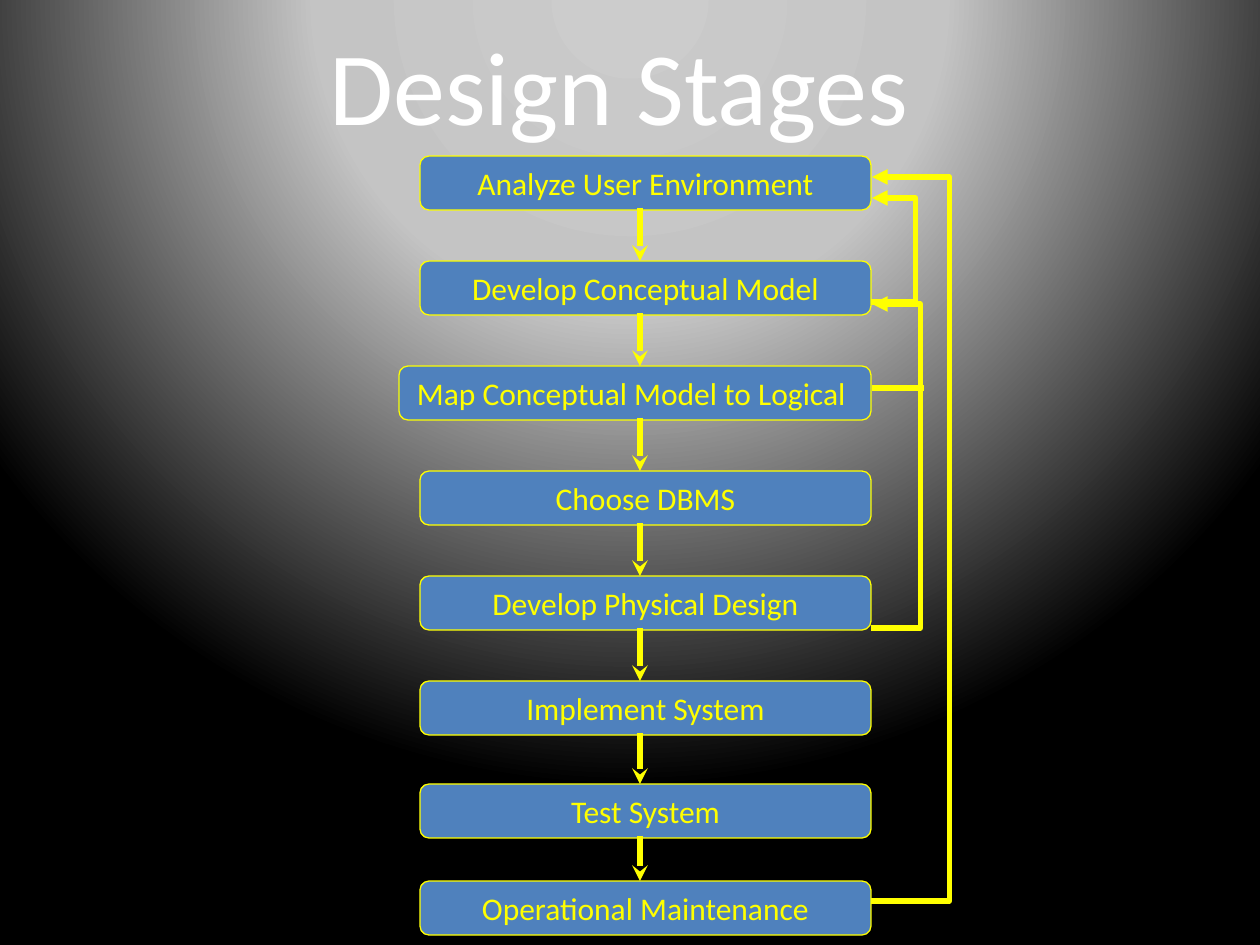
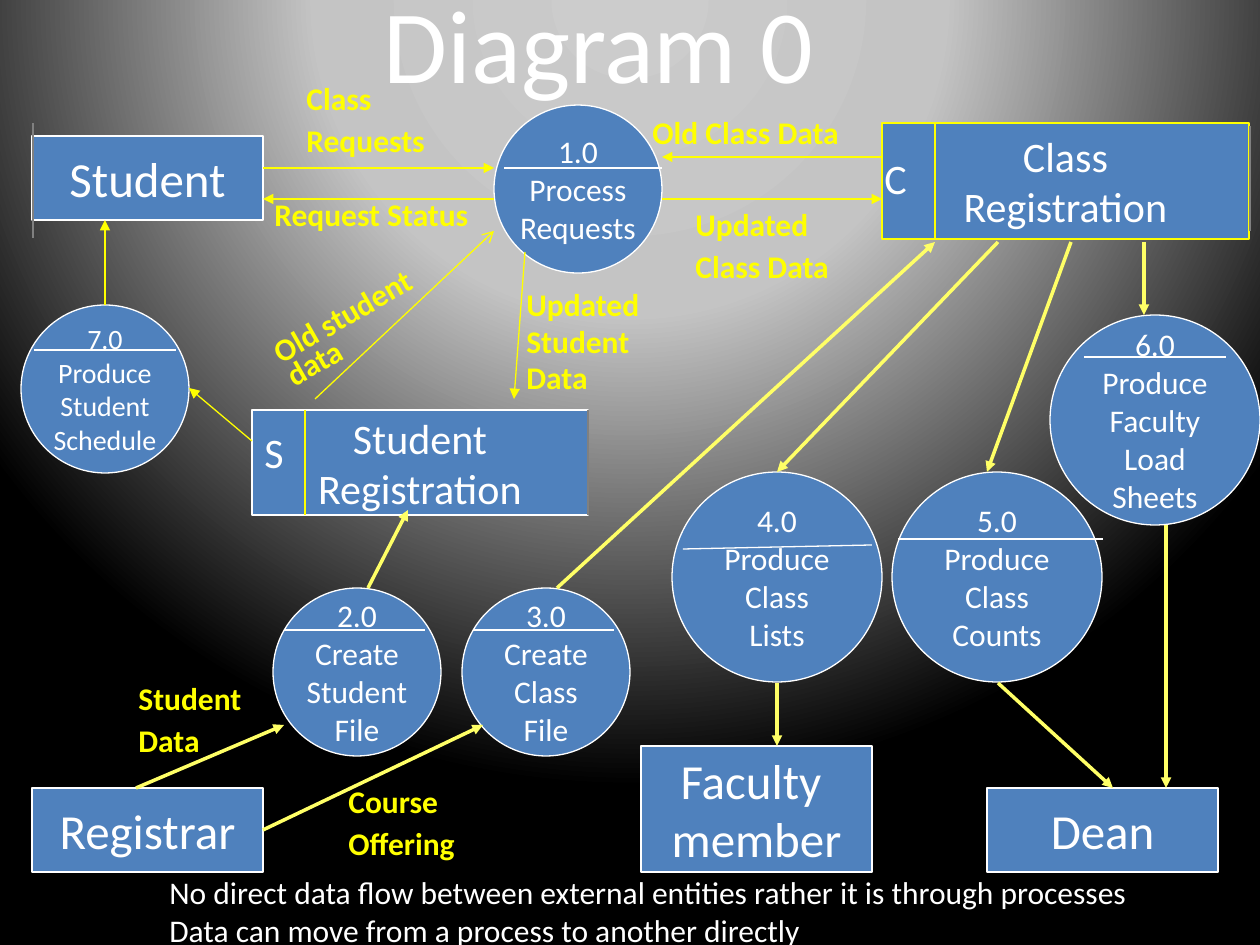
import pptx
import pptx.dml.color
import pptx.enum.shapes
import pptx.enum.text
import pptx.oxml
import pptx.oxml.ns
import pptx.util

WHITE, YELLOW, PALE, BLUE, GREY = "FFFFFF", "FFFF00", "FFFF66", "4F81BD", "808080"
FONT = "Calibri"
PAGE = (0, 0, 1260, 945)

KIND = pptx.enum.shapes.MSO_SHAPE
LINK = pptx.enum.shapes.MSO_CONNECTOR
ALIGN = pptx.enum.text.PP_ALIGN
ANCHOR = pptx.enum.text.MSO_ANCHOR
FIT = pptx.enum.text.MSO_AUTO_SIZE
qn = pptx.oxml.ns.qn
NS = pptx.oxml.ns.nsdecls("a")


def px(n):
    return pptx.util.Emu(round(n * 914400 / 126))


def ink(code):
    return pptx.dml.color.RGBColor.from_string(code)


def write(shape, text, size=18, tone=WHITE, bold=False, align=ALIGN.CENTER,
          anchor=ANCHOR.MIDDLE, wrap=False, fit=FIT.NONE, pitch=None, gap=0):
    """Fill a shape with text, one paragraph a line."""
    frame = shape.text_frame
    frame.text = text
    frame.word_wrap = wrap
    frame.auto_size = fit
    frame.vertical_anchor = anchor
    for i, para in enumerate(frame.paragraphs):
        para.alignment = align
        if pitch:
            para.line_spacing = pitch
        if gap and i:
            para.space_before = pptx.util.Pt(gap)
        font = para.runs[0].font
        font.name, font.size, font.bold = FONT, pptx.util.Pt(size), bold
        font.color.rgb = ink(tone)


def block(slide, kind, box, text, line=WHITE, **form):
    shape = slide.shapes.add_shape(kind, *map(px, box))
    shape.shadow.inherit = False
    shape.fill.solid()
    shape.fill.fore_color.rgb = ink(BLUE)
    shape.line.color.rgb = ink(line)
    shape.line.width = pptx.util.Pt(0.75)
    write(shape, text, **form)
    return shape


def note(slide, box, text, turn=0, **form):
    shape = slide.shapes.add_textbox(*map(px, box))
    shape.rotation = turn
    write(shape, text, **{"align": ALIGN.LEFT, "anchor": ANCHOR.TOP, "wrap": True,
                          "fit": FIT.SHAPE_TO_FIT_TEXT, **form})


def label(slide, box, text, turn=0, pitch=0.7):
    note(slide, box, text, turn, tone=YELLOW, bold=True, pitch=pitch, gap=9)


def link(slide, ends, tone=YELLOW, width=0.75, tip=None, bend=None):
    """Draw a line; bend is how far an elbow swings out, in px."""
    kind = LINK.ELBOW if bend else LINK.STRAIGHT
    line = slide.shapes.add_connector(kind, *map(px, ends))
    line.line.color.rgb = ink(tone)
    line.line.width = pptx.util.Pt(width)
    props = line.element.spPr
    if tip:
        props.find(qn("a:ln")).append(pptx.oxml.parse_xml(f'<a:tailEnd {NS} type="{tip}"/>'))
    props.append(pptx.oxml.parse_xml(f"<a:effectLst {NS}/>"))
    if bend:
        span = abs(ends[2] - ends[0])
        guide = f'<a:gd {NS} name="adj1" fmla="val {bend * 100000 // span}"/>'
        props.find(qn("a:prstGeom")).find(qn("a:avLst")).append(pptx.oxml.parse_xml(guide))
    return line


def shift(box, ends):
    x, y = box[:2]
    a, b, c, d = ends
    return x + a, y + b, x + c, y + d


def backdrop(deck):
    """Set the spotlight gradient on the master."""
    master = deck.slide_master
    master.background.fill.solid()
    stops = "".join(f'<a:gs pos="{at}000"><a:srgbClr val="{code}"/></a:gs>'
                    for at, code in ((0, "CCCCCC"), (40, "C4C4C4"), (100, "000000")))
    props = master.element.find(".//" + qn("p:bgPr"))
    props.replace(props[0], pptx.oxml.parse_xml(
        f'<a:gradFill {NS} rotWithShape="1"><a:gsLst>{stops}</a:gsLst><a:path path="circle">'
        '<a:fillToRect l="50000" t="-80000" r="50000" b="180000"/></a:path></a:gradFill>'))


def start(deck, box, text):
    """Add a slide and place its title."""
    slide = deck.slides.add_slide(deck.slide_layouts[5])
    title = slide.shapes.title
    title.left, title.top, title.width, title.height = map(px, box)
    write(title, text, size=59.4, wrap=True)
    return slide


# Design stages
STAGES = ("Analyze User Environment", "Develop Conceptual Model",
          "Map Conceptual Model to Logical ", "Choose DBMS", "Develop Physical Design",
          "Implement System", "Test System", "Operational Maintenance")


def stages(slide, box):
    x, y, wide, _ = box
    high = 54
    tops = [y + 105 * i for i in range(6)] + [y + 628, y + 725]
    for i, (top, text) in enumerate(zip(tops, STAGES)):
        extra = 21 if i == 2 else 0  # the longest stage reaches further left
        block(slide, KIND.FLOWCHART_ALTERNATE_PROCESS,
              (x - extra, top, wide + extra, high), text, line=YELLOW, tone=YELLOW)
    for top, after in zip(tops, tops[1:]):
        link(slide, (x + 220, top + 52, x + 220, after), width=3, tip="stealth")


def feedback(slide, box):
    """Draw the loops back up, from the right edge of the stages."""
    for low, high, bend in ((146, 42, 45), (472, 148, 50), (745, 21, 79)):
        link(slide, shift(box, (-1, low, 0, high)), width=3, tip="triangle", bend=bend)
    link(slide, shift(box, (0, 232, 52, 232)), width=3)


# Data flow diagram
def process(slide, box, text, bar, size=18):
    block(slide, KIND.OVAL, box, text, size=size)
    link(slide, shift(box, bar), tone=WHITE)


def store(slide, box, mark, text, line, spot, edge):
    x, y, _, high = box
    block(slide, KIND.RECTANGLE, box, text, line=line, size=24)
    link(slide, (x + 53, y, x + 53, y + high))
    note(slide, (x + spot[0], y + spot[1], 53, 63), mark, size=24)
    link(slide, shift(box, edge), tone=GREY)


def flows(slide, box, ends, **form):
    for item in ends:
        link(slide, shift(box, item), **form)


PROCESSES = (
    ((494, 105, 168, 168), "1.0\nProcess\nRequests", (10, 63, 168, 63)),
    ((273, 588, 168, 168), "2.0\nCreate\nStudent\nFile", (11, 42, 152, 42)),
    ((462, 588, 168, 168), "3.0\nCreate\nClass\nFile", (11, 42, 152, 42)),
    ((672, 472, 210, 210), "4.0\nProduce\nClass\nLists", (11, 77, 200, 73)),
    ((892, 472, 210, 210), "5.0\nProduce\nClass\nCounts", (6, 67, 211, 67)),
    ((1050, 315, 210, 210), "6.0\nProduce\nFaculty\nLoad\nSheets", (34, 42, 176, 42)),
    ((21, 305, 168, 168), "7.0\nProduce\nStudent\nSchedule", (13, 45, 155, 45), 16),
)
ENTITIES = (
    ((32, 136, 231, 84), "Student"),
    ((641, 746, 231, 126), "Faculty \nmember"),
    ((987, 788, 231, 84), "Dean"),
    ((32, 788, 231, 84), "Registrar"),
)
LABELS = (
    ((294, 83, 168, 84), "Class\nRequests"),
    ((262, 199, 305, 42), "Request Status"),
    ((640, 107, 336, 50), "Old Class Data", 0, 1),
    ((683, 209, 336, 84), "Updated\nClass Data"),
    ((514, 294, 199, 113), "Updated\nStudent\nData", 0, 0.55),
    ((126, 683, 158, 84), "Student\nData"),
    ((336, 786, 158, 84), "Course\nOffering"),
    ((260, 290, 210, 68), "Old student data", 330.1),
)
THIN = (
    (263, 168, 494, 168), (494, 199, 263, 199),
    (662, 199, 882, 199), (882, 157, 662, 157),
    (525, 252, 514, 399), (105, 305, 105, 220), (252, 441, 189, 388),
)
THICK = (
    (1144, 242, 1144, 315), (1071, 242, 987, 472), (998, 242, 777, 472),
    (557, 588, 935, 242), (1166, 525, 1166, 788), (998, 683, 1113, 788),
    (777, 683, 777, 746), (136, 788, 284, 725), (368, 588, 408, 510),
)


def diagram(slide, box):
    bold = {"tone": PALE, "width": 2, "tip": "triangle"}
    # Processes, entities and stores
    for item in PROCESSES:
        process(slide, *item)
    for place, text in ENTITIES:
        desk = block(slide, KIND.RECTANGLE, place, text, size=28)
    store(slide, (882, 123, 367, 116), "C", "Class\nRegistration", YELLOW,
          (-10, 23), (368, 3, 368, 108))
    store(slide, (252, 410, 336, 105), "S", "Student\nRegistration", WHITE,
          (0, 10), (336, 0, 336, 105))
    link(slide, (33, 123, 33, 238), tone=GREY)
    # Flows between them
    flows(slide, box, THIN, tip="triangle")
    flows(slide, box, [(315, 399, 494, 231)], tip="arrow")
    flows(slide, box, THICK, **bold)
    link(slide, (263, 830, 483, 725), **bold).begin_connect(desk, 3)
    for item in LABELS:
        label(slide, *item)
    # Rules at the foot
    note(slide, (157, 867, 1018, 89),
         "No direct data flow between external entities rather it is through processes\n"
         "Data can move from a process to another directly")


def main():
    deck = pptx.Presentation()
    deck.slide_width, deck.slide_height = px(PAGE[2]), px(PAGE[3])
    backdrop(deck)
    slide = start(deck, (94, 32, 1050, 104), "Design Stages")
    stages(slide, (420, 156, 451, 779))
    feedback(slide, (872, 156, 87, 779))
    diagram(start(deck, (0, 0, 1197, 84), "Diagram 0"), PAGE)
    deck.save("out.pptx")


if __name__ == "__main__":
    main()
